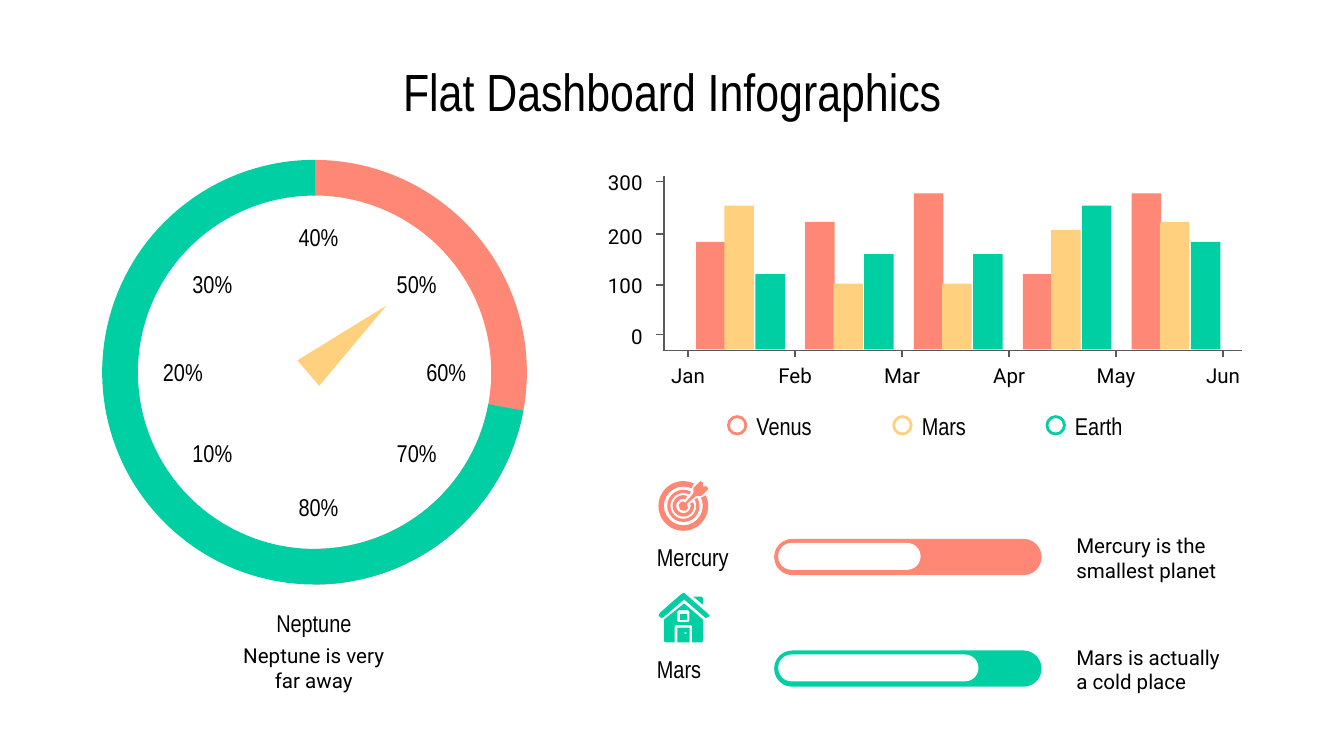
import pptx
import pptx.util
import pptx.dml.color
import pptx.enum.shapes
import pptx.enum.text
import pptx.oxml
import pptx.oxml.ns

Inches = pptx.util.Inches
Pt = pptx.util.Pt
rgb = pptx.dml.color.RGBColor.from_string
MSO = pptx.enum.shapes.MSO_SHAPE
ALIGN = pptx.enum.text.PP_ALIGN
ANCHOR = pptx.enum.text.MSO_ANCHOR

CORAL, YELLOW, GREEN = "FF8775", "FFD07E", "00CFA4"
WHITE, BLACK, GREY = "FFFFFF", "000000", "595959"
NARROW, ROBOTO = "Arial Narrow", "Roboto"

# 16:9 slide
prs = pptx.Presentation()
prs.slide_width = Inches(10)
prs.slide_height = Inches(10) * 9 // 16
s = prs.slides.add_slide(prs.slide_layouts[6])


def add_text(text, x, y, w, h, size=13, font=NARROW, align=ALIGN.CENTER,
             anchor=ANCHOR.MIDDLE):
    tf = s.shapes.add_textbox(Inches(x), Inches(y), Inches(w), Inches(h)).text_frame
    tf.word_wrap = True
    tf.vertical_anchor = anchor
    tf.margin_left = tf.margin_right = tf.margin_top = tf.margin_bottom = Inches(0.1)
    p = tf.paragraphs[0]
    p.text = text
    p.alignment = align
    p.font.size = Pt(size)
    p.font.name = font
    p.font.color.rgb = rgb(BLACK)


def add_shape(kind, x, y, w, h, fill, adjust=(), rotation=0, line=None):
    sp = s.shapes.add_shape(kind, Inches(x), Inches(y), Inches(w), Inches(h))
    sp.shadow.inherit = False
    sp.rotation = rotation
    for i, value in enumerate(adjust):
        sp.adjustments[i] = value
    sp.fill.solid()
    sp.fill.fore_color.rgb = rgb(fill)
    if line:
        sp.line.color.rgb = rgb(line)
        sp.line.width = Pt(1.5)
    else:
        sp.line.fill.background()


# Title
add_text("Flat Dashboard Infographics", 0.45, 0.34, 9.1, 0.63, size=28,
         anchor=ANCHOR.TOP)

# Gauge: labels, ring and needle
for label, x, y in [("20%", 1.09, 2.61), ("60%", 3.05, 2.61), ("40%", 2.1, 1.6),
                    ("80%", 2.1, 3.61), ("70%", 2.83, 3.21), ("30%", 1.31, 1.95),
                    ("50%", 2.83, 1.95), ("10%", 1.31, 3.21)]:
    add_text(label, x, y, 0.54, 0.32)

# Block arc angles are degrees times 0.6
for color, start, end in [(CORAL, 180, 359.56), (GREEN, 280.42, 180.19)]:
    add_shape(MSO.BLOCK_ARC, 0.76, 1.19, 3.16, 3.16, color,
              (start * 0.6, end * 0.6, 0.084), rotation=90)
add_shape(MSO.ISOSCELES_TRIANGLE, 2.46, 2.14, 0.25, 0.77, YELLOW, rotation=49.2)
add_text("Neptune is very far away", 1.67, 4.73, 1.33, 0.48, 11, ROBOTO)
add_text("Neptune", 1.67, 4.5, 1.33, 0.27)

# Bar graph axes, ticks and labels
base, axis_x = 2.61, 4.94
lines = [(4.93, base, 9.24, base), (axis_x, base, axis_x, 1.31)]
for label, y, top in [("300", 1.35, 1.19), ("200", 1.74, 1.59),
                      ("100", 2.12, 1.96), ("0", 2.49, 2.34)]:
    lines.append((axis_x, y, 4.88, y))
    add_text(label, 4.36, top, 0.52, 0.33, 11, ROBOTO, ALIGN.RIGHT)
for i, month in enumerate(["Jan", "Feb", "Mar", "Apr", "May", "Jun"]):
    x = 5.12 + i * (9.1 - 5.12) / 5
    lines.append((x, base, x, 2.66))
    add_text(month, x - 0.26, 2.63, 0.52, 0.33, 11, ROBOTO)
for x1, y1, x2, y2 in lines:
    c = s.shapes.add_connector(pptx.enum.shapes.MSO_CONNECTOR.STRAIGHT,
                               Inches(x1), Inches(y1), Inches(x2), Inches(y2))
    c.line.color.rgb = rgb(GREY)
    c.line.width = Pt(0.75)
    c._element.spPr.append(pptx.oxml.parse_xml(
        "<a:effectLst %s/>" % pptx.oxml.ns.nsdecls("a")))

# Legend
for label, x, color in [("Venus", 5.42, CORAL), ("Mars", 6.65, YELLOW),
                        ("Earth", 7.79, GREEN)]:
    add_text(label, x + 0.11, 3.01, 0.75, 0.32, align=ALIGN.LEFT)
    add_shape(MSO.OVAL, x, 3.1, 0.13, 0.13, WHITE, line=color)

# Progress rows
for name, note, y, color, inner in [
        ("Mercury", "Mercury is the smallest planet", 4.01, CORAL, 1.06),
        ("Mars", "Mars is actually a cold place", 4.84, GREEN, 1.49)]:
    add_text(note, 7.91, y - 0.1, 1.33, 0.48, 11, ROBOTO, ALIGN.LEFT)
    add_text(name, 4.79, y, 1.33, 0.27, align=ALIGN.LEFT)
    add_shape(MSO.ROUNDED_RECTANGLE, 5.76, y, 1.99, 0.27, color, (0.5,))
    add_shape(MSO.ROUNDED_RECTANGLE, 5.79, y + 0.03, inner, 0.2, WHITE, (0.5,))

# Target icon: three open rings
for size, start, end, band in [(0.37, 335, 295, 0.11), (0.24, 330, 298, 0.1),
                               (0.16, 340, 290, 0.16)]:
    add_shape(MSO.BLOCK_ARC, 5.085 - size / 2, 3.765 - size / 2, size, size, CORAL,
              (start * 0.6, end * 0.6, band))

# Icon outlines in hundredths of an inch: the dart, then the house parts
dart = [(521, 358), (516, 363), (516, 367), (510, 374), (508, 373), (506, 374),
        (505, 376), (506, 379), (508, 380), (510, 380), (512, 378), (511, 375),
        (518, 369), (522, 369), (527, 364), (526, 362), (523, 362), (523, 359)]
chimney = [(516, 444), (523, 450), (523, 445), (522, 444)]
door = [(504, 467), (504, 478), (513, 478), (513, 467)]
knob = [(510, 470), (511, 471), (510, 472), (509, 471)]
pane = [(506, 457), (506, 461), (511, 461), (511, 457)]
roof = [(509, 441), (507, 442), (491, 456), (490, 458), (491, 459), (492, 460),
        (494, 459), (509, 446), (524, 459), (525, 460), (527, 459), (528, 458),
        (526, 456), (510, 442)]
walls = [(509, 449), (494, 461), (494, 477), (495, 478), (502, 478), (502, 466),
         (503, 465), (514, 465), (515, 466), (515, 478), (522, 478), (523, 477),
         (523, 461)]
window = [(505, 454), (512, 454), (513, 455), (513, 462), (512, 463), (505, 463),
          (504, 462), (504, 455)]
for color, contours in [(CORAL, [dart]), (GREEN, [chimney]), (GREEN, [door, knob]),
                        (GREEN, [pane]), (GREEN, [roof]), (GREEN, [walls, window])]:
    fb = s.shapes.build_freeform(*contours[0][0], scale=Inches(0.01))
    fb.add_line_segments(contours[0][1:], close=True)
    for hole in contours[1:]:
        fb.move_to(*hole[0])
        fb.add_line_segments(hole[1:], close=True)
    sp = fb.convert_to_shape()
    sp.shadow.inherit = False
    sp.fill.solid()
    sp.fill.fore_color.rgb = rgb(color)
    sp.line.fill.background()

# Bars: five groups of three heights
heights = [(0.8, 1.07, 0.56), (0.95, 0.49, 0.71), (1.16, 0.49, 0.71),
           (0.56, 0.89, 1.07), (1.16, 0.95, 0.8)]
series = [(0, CORAL), (0.21, YELLOW), (0.44, GREEN)]
for i, group in enumerate(heights):
    for h, (offset, color) in zip(group, series):
        add_shape(MSO.RECTANGLE, 5.18 + 0.81 * i + offset, 2.6 - h, 0.22, h, color)

prs.save("out.pptx")
